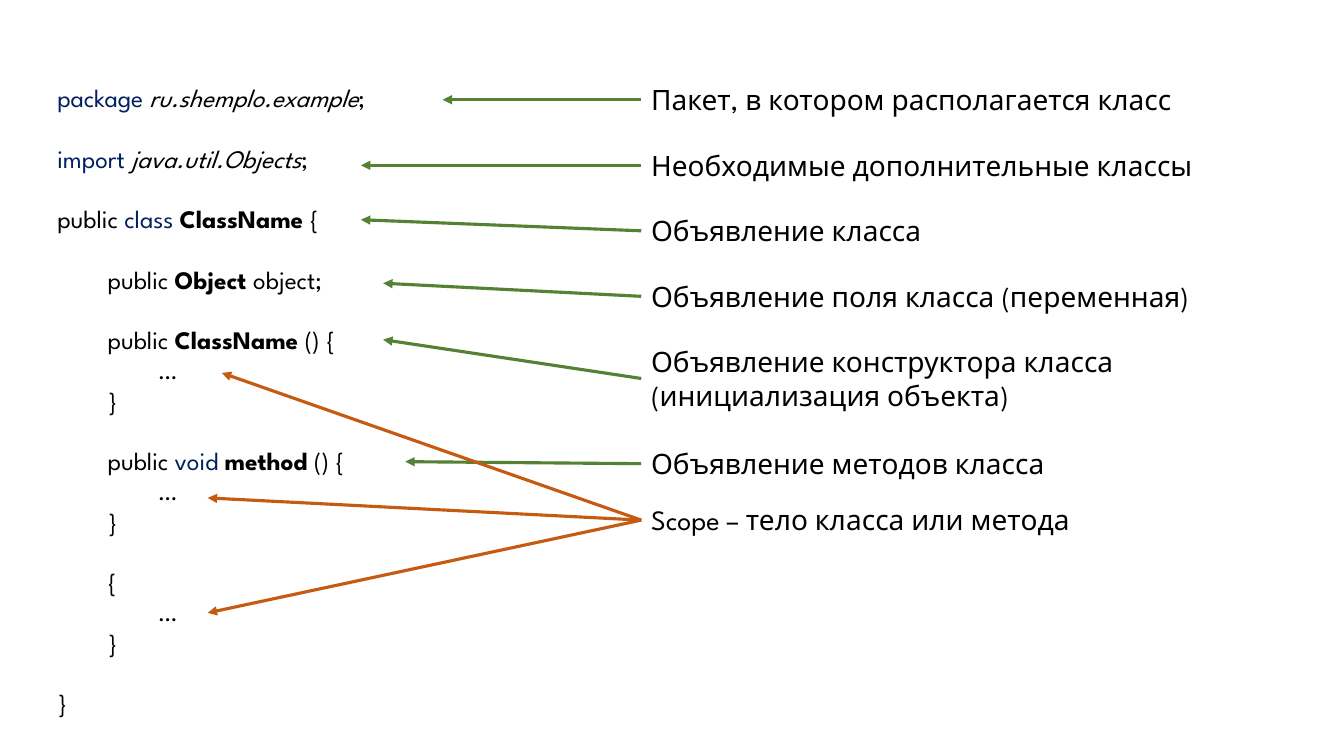
"""Builds a slide that explains the parts of a Java class."""
from lxml.etree import SubElement
from pptx import Presentation
from pptx.dml.color import RGBColor
from pptx.enum.shapes import MSO_CONNECTOR as Connector
from pptx.enum.text import MSO_AUTO_SIZE as AutoSize
from pptx.oxml.ns import qn
from pptx.util import Inches, Pt

FONT = "League Spartan"
BLACK, NAVY, GREEN, ORANGE = "000000", "002060", "548235", "C55A11"
CODE_LEFT, LABEL_LEFT, TOP, ROW = 0.47, 6.36, 0.77, 0.65
CODE_SIZE, LABEL_SIZE = 18, 20
LINE_GAP = Pt(CODE_SIZE * 1.2)
INDENT = Inches(0.5)


def add_text_box(left, top, width, height):
    box = slide.shapes.add_textbox(*map(Inches, (left, top, width, height)))
    box.text_frame.word_wrap = True
    box.text_frame.auto_size = AutoSize.SHAPE_TO_FIT_TEXT
    return box


def add_run(paragraph, text, size, color=BLACK, **style):
    run = paragraph.add_run()
    run.text = text
    for name, value in {"name": FONT, "size": Pt(size), **style}.items():
        setattr(run.font, name, value)
    run.font.color.rgb = RGBColor.from_string(color)


presentation = Presentation()
presentation.slide_width, presentation.slide_height = Inches(13.33), Inches(7.5)
slide = presentation.slides.add_slide(presentation.slide_layouts[6])

plain, keyword = {}, {"color": NAVY}
bold, italic = {"bold": True}, {"italic": True}
body, closing = (2, False, [("…", plain)]), (1, False, [("}", plain)])
code_lines = [
    (0, False, [("package ", keyword), ("ru.shemplo.example", italic), (";", plain)]),
    (0, True, [("import ", keyword), ("java.util.Objects", italic), (";", plain)]),
    (0, True, [("public ", plain), ("class ", keyword), ("ClassName", bold), (" {", plain)]),
    (1, True, [("public ", plain), ("Object ", bold), ("object;", plain)]),
    (1, True, [("public ", plain), ("ClassName", bold), (" () {", plain)]),
    body,
    closing,
    (1, True, [("public ", plain), ("void ", keyword), ("method", bold), (" () {", plain)]),
    body,
    closing,
    (1, True, [("{", plain)]),
    body,
    closing,
    (0, True, [("}", plain)]),
]
code = add_text_box(CODE_LEFT, TOP, 5.33, 6.46).text_frame
for number, (level, gap_before, pieces) in enumerate(code_lines):
    line = code.add_paragraph() if number else code.paragraphs[0]
    line.space_before = LINE_GAP if gap_before else Pt(0)
    line._p.get_or_add_pPr().set("marL", str(INDENT * level))
    for text, style in pieces:
        add_run(line, text, CODE_SIZE, **style)

explanations = [
    ("Пакет, в котором располагается класс", TOP, 0.44, GREEN, [(4.39, 0.99)]),
    ("Необходимые дополнительные классы", TOP + ROW, 0.44, GREEN, [(3.58, 1.64)]),
    ("Объявление класса", TOP + 2 * ROW, 0.44, GREEN, [(3.58, 2.18)]),
    ("Объявление поля класса (переменная)", TOP + 3 * ROW, 0.44, GREEN, [(3.8, 2.81)]),
    ("Объявление конструктора класса (инициализация объекта)",
     TOP + 4 * ROW, 0.77, GREEN, [(3.8, 3.37)]),
    ("Объявление методов класса", 4.38, 0.44, GREEN, [(4.02, 4.58)]),
    ("Scope – тело класса или метода", 4.94, 0.44, ORANGE,
     [(2.2, 3.7), (2.06, 4.94), (2.06, 6.08)]),
]
for text, top, height, color, targets in explanations:
    label = add_text_box(LABEL_LEFT, top, 6.5, height)
    add_run(label.text_frame.paragraphs[0], text, LABEL_SIZE)
    for x, y in targets:
        start = LABEL_LEFT, top + height / 2
        arrow = slide.shapes.add_connector(Connector.STRAIGHT, *map(Inches, (*start, x, y)))
        arrow.begin_connect(label, 1)
        arrow.line.width = Pt(2.25)
        arrow.line.color.rgb = RGBColor.from_string(color)
        SubElement(arrow.line._get_or_add_ln(), qn("a:tailEnd"), type="triangle")
        SubElement(arrow._element.spPr, qn("a:effectLst"))

presentation.save("out.pptx")
